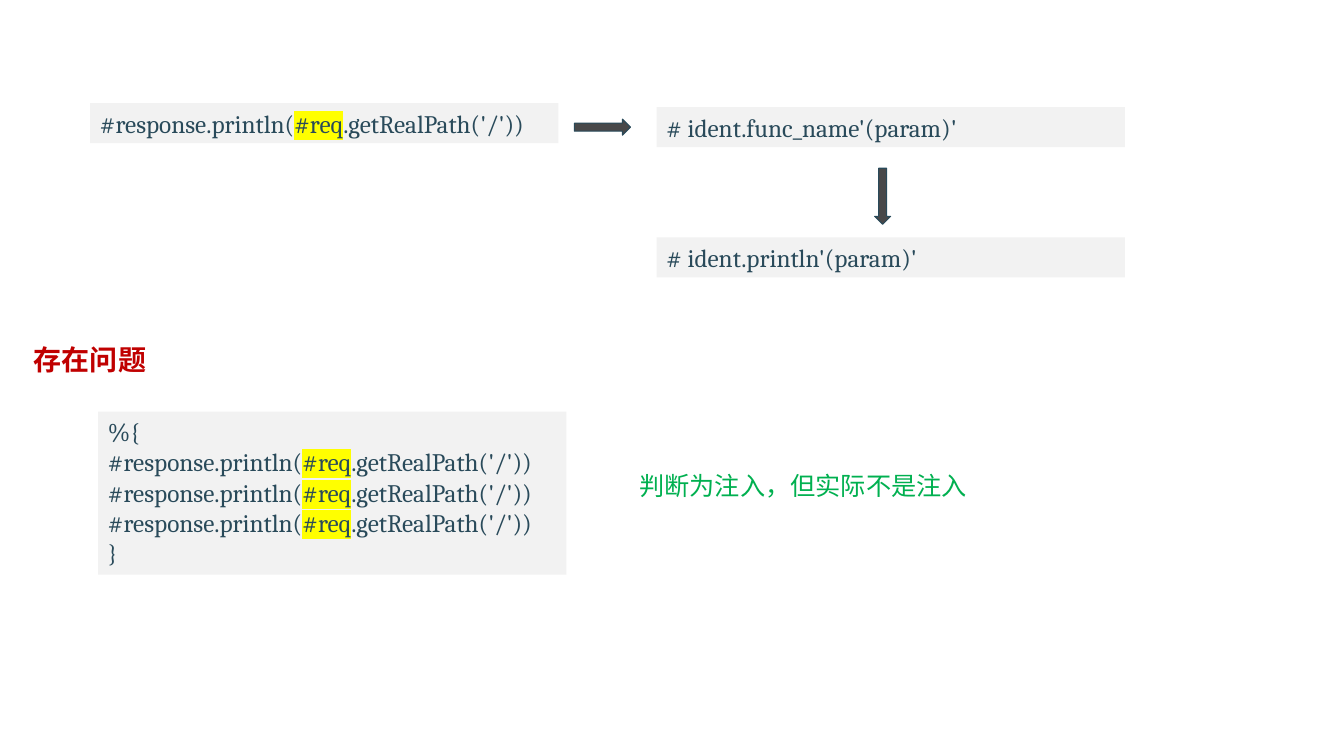
"""Build the slide on expression matching and its false positive."""
from lxml.etree import SubElement
from pptx import Presentation
from pptx.dml.color import RGBColor
from pptx.enum.shapes import MSO_SHAPE
from pptx.enum.text import MSO_ANCHOR, PP_ALIGN
from pptx.oxml.ns import qn
from pptx.util import Emu, Pt

SCALE = 914400 / 100.7
SLIDE_SIZE = (1343, 755)
INK, PANEL, ARROW, MARK = "294A5A", "F2F2F2", "484849", "FFFF00"
PANEL_WIDTH, LINE_PANEL_HEIGHT = 468, 40
ARROW_LENGTH, ARROW_THICKNESS = 56, 16

CALL = ["#response.println(", ("#req", MARK), ".getRealPath('/'))"]
CODE_PANELS = [
    (90, 103, LINE_PANEL_HEIGHT, [CALL]),
    (656, 107, LINE_PANEL_HEIGHT, [["# ident.func_name'(param)'"]]),
    (656, 237, LINE_PANEL_HEIGHT, [["# ident.println'(param)'"]]),
    (98, 411, 163, [["%{"], *[CALL] * 3, ["}"]]),
]
ARROWS = [(574, 119, 0), (854, 188, 90)]
LABELS = [
    ((24, 337, 429, 44), "存在问题", dict(size=20, color="C00000", bold=True)),
    ((629, 465, 672, 40), "判断为注入，但实际不是注入", dict(color="00B050", font="Arial")),
]


def pixels(*values):
    return [Emu(round(value * SCALE)) for value in values]


def rgb(value):
    return RGBColor.from_string(value)


def write_text(shape, lines, size=18, color=INK, font="Cambria", bold=False):
    frame = shape.text_frame
    frame.word_wrap = True
    frame.vertical_anchor = MSO_ANCHOR.TOP
    for index, line in enumerate(lines):
        paragraph = frame.add_paragraph() if index else frame.paragraphs[0]
        paragraph.alignment = PP_ALIGN.LEFT
        for part in line:
            text, highlight = (part, None) if isinstance(part, str) else part
            run = paragraph.add_run()
            run.text = text
            run.font.size = Pt(size)
            run.font.bold = bold
            run.font.color.rgb = rgb(color)
            if highlight:
                element = SubElement(run.font._element, qn("a:highlight"))
                SubElement(element, qn("a:srgbClr"), val=highlight)
            run.font.name = font


def add_block(slide, kind, box, fill, line=None):
    shape = slide.shapes.add_shape(kind, *pixels(*box))
    shape.shadow.inherit = False
    shape.fill.solid()
    shape.fill.fore_color.rgb = rgb(fill)
    if line:
        shape.line.color.rgb = rgb(line)
        shape.line.width = Pt(0.75)
    else:
        shape.line.fill.background()
    return shape


presentation = Presentation()
presentation.slide_width, presentation.slide_height = pixels(*SLIDE_SIZE)
slide = presentation.slides.add_slide(presentation.slide_layouts[6])

for left, top, height, lines in CODE_PANELS:
    panel = add_block(slide, MSO_SHAPE.RECTANGLE, (left, top, PANEL_WIDTH, height), PANEL)
    write_text(panel, lines)

for left, top, rotation in ARROWS:
    box = (left, top, ARROW_LENGTH, ARROW_THICKNESS)
    arrow = add_block(slide, MSO_SHAPE.RIGHT_ARROW, box, ARROW, INK)
    arrow.rotation = rotation

for box, text, style in LABELS:
    write_text(slide.shapes.add_textbox(*pixels(*box)), [[text]], **style)

presentation.save("out.pptx")
